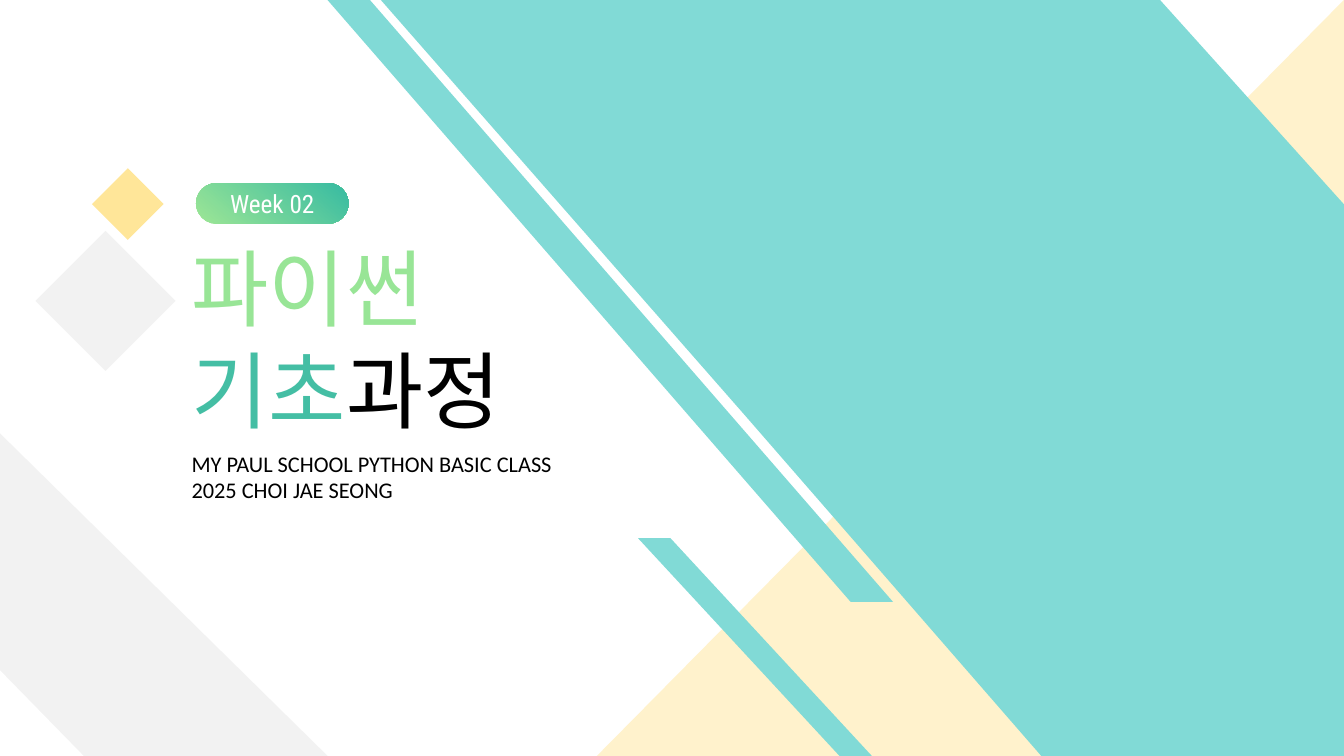
from dataclasses import dataclass

import pptx
import pptx.dml.color
import pptx.enum.dml
import pptx.enum.shapes
import pptx.enum.text
import pptx.oxml
import pptx.oxml.ns
import pptx.util

Pt = pptx.util.Pt
Preset = pptx.enum.shapes.MSO_SHAPE
Align = pptx.enum.text.PP_ALIGN
Anchor = pptx.enum.text.MSO_ANCHOR

COLORS = {
    "white": "FFFFFF",
    "black": "000000",
    "cream": "FFF2CC",
    "yellow": "FFE699",
    "aqua": "81DAD6",
    "grey": "F2F2F2",
    "lime": "98E596",
    "teal": "44BEA4",
    "badge start": "9DE695",
    "badge end": "37BBA2",
}
WIDTH, HEIGHT = 960, 540


@dataclass(frozen=True)
class Box:
    left: float
    top: float
    width: float
    height: float


@dataclass(frozen=True)
class Decoration:
    preset: Preset
    box: Box
    color: str
    flipped: bool = False
    adjustment: float | None = None


@dataclass(frozen=True)
class TextRun:
    text: str
    color: str


@dataclass(frozen=True)
class TextStyle:
    font: str
    size: float
    alignment: Align = Align.LEFT
    line_height: float | None = None


BAND_SLANT = 0.925
BACK_TRIANGLE = Decoration(Preset.RIGHT_TRIANGLE, Box(426.4, 0, 533.6, HEIGHT), "cream", flipped=True)
FRONT_DECORATIONS = [
    Decoration(Preset.PARALLELOGRAM, Box(234, 0, 404, 430), "aqua", True, BAND_SLANT),
    Decoration(Preset.PARALLELOGRAM, Box(455.8, 384.5, 167, 155.5), "aqua", True, BAND_SLANT),
    Decoration(Preset.RIGHT_TRIANGLE, Box(0, 309.6, 234, 230.4), "grey"),
    Decoration(Preset.RIGHT_TRIANGLE, Box(0, 478.8, 59.8, 61.2), "white"),
    Decoration(Preset.DIAMOND, Box(25.4, 165, 100, 100), "grey"),
    Decoration(Preset.DIAMOND, Box(65.7, 120.2, 51.2, 51.2), "yellow"),
]
PANEL_OUTLINE = [(272, 0), (828.6, 0), (WIDTH, 146), (WIDTH, HEIGHT), (743.8, HEIGHT), (532, 296.6)]

TITLE_BOX = Box(129.6, 165, 518.4, 152.6)
SUBTITLE_BOX = Box(129.6, 317.6, 518.4, 46)
BADGE_BOX = Box(140, 130.8, 109, 29)

TITLE_STYLE = TextStyle("Noto Sans CJK KR", 60, line_height=72.5)
SUBTITLE_STYLE = TextStyle("Calibri", 16)
BADGE_STYLE = TextStyle("Roboto Condensed", 18, Align.CENTER)

TITLE = [
    [TextRun("파이썬", "lime")],
    [TextRun("기초", "teal"), TextRun("과정", "black")],
]
SUBTITLE = [
    [TextRun("MY PAUL SCHOOL PYTHON BASIC CLASS", "black")],
    [TextRun("2025 CHOI JAE SEONG", "black")],
]
BADGE = [[TextRun("Week 02", "white")]]


def rgb(name: str) -> pptx.dml.color.RGBColor:
    return pptx.dml.color.RGBColor.from_string(COLORS[name])


def paint(shape, color: str) -> None:
    shape.shadow.inherit = False
    shape.fill.solid()
    shape.fill.fore_color.rgb = rgb(color)
    shape.line.fill.background()


def add_preset(slide, preset: Preset, box: Box):
    return slide.shapes.add_shape(preset, Pt(box.left), Pt(box.top), Pt(box.width), Pt(box.height))


def add_decoration(slide, decoration: Decoration) -> None:
    shape = add_preset(slide, decoration.preset, decoration.box)
    paint(shape, decoration.color)
    if decoration.adjustment is not None:
        shape.adjustments[0] = decoration.adjustment
    if decoration.flipped:
        shape._element.spPr.xfrm.set("flipH", "1")


def add_panel(slide) -> None:
    points = [(Pt(x), Pt(y)) for x, y in PANEL_OUTLINE]
    builder = slide.shapes.build_freeform(*points[0])
    builder.add_line_segments(points[1:], close=True)
    paint(builder.convert_to_shape(), "aqua")


def write_text(shape, lines: list[list[TextRun]], style: TextStyle, anchor: Anchor) -> None:
    frame = shape.text_frame
    frame.word_wrap = True
    frame.auto_size = pptx.enum.text.MSO_AUTO_SIZE.NONE
    frame.vertical_anchor = anchor
    for index, line in enumerate(lines):
        paragraph = frame.add_paragraph() if index else frame.paragraphs[0]
        paragraph.alignment = style.alignment
        paragraph.space_before = Pt(0)
        if style.line_height is not None:
            paragraph.line_spacing = Pt(style.line_height)
        for text_run in line:
            run = paragraph.add_run()
            run.text = text_run.text
            run.font.size = Pt(style.size)
            run.font.name = style.font
            run.font.color.rgb = rgb(text_run.color)
            east_asian = pptx.oxml.parse_xml(f'<a:ea {pptx.oxml.ns.nsdecls("a")} typeface="{style.font}"/>')
            run.font._element.find(pptx.oxml.ns.qn("a:latin")).addnext(east_asian)


def fill_placeholder(slide, index: int, box: Box, lines: list[list[TextRun]], style: TextStyle) -> None:
    """Place a layout placeholder in front of the decorations and write its text."""
    shape = slide.placeholders[index]
    shape.left, shape.top = Pt(box.left), Pt(box.top)
    shape.width, shape.height = Pt(box.width), Pt(box.height)
    slide.shapes._spTree.append(shape._element)
    write_text(shape, lines, style, Anchor.TOP)


def add_badge(slide) -> None:
    badge = add_preset(slide, Preset.ROUNDED_RECTANGLE, BADGE_BOX)
    badge.adjustments[0] = 0.5
    paint(badge, "badge start")
    badge.fill.gradient()
    badge.fill.gradient_angle = 50
    for stop, color in zip(badge.fill.gradient_stops, ("badge start", "badge end")):
        stop.color.rgb = rgb(color)
    write_text(badge, BADGE, BADGE_STYLE, Anchor.MIDDLE)


def main() -> None:
    presentation = pptx.Presentation()
    presentation.slide_width, presentation.slide_height = Pt(WIDTH), Pt(HEIGHT)
    slide = presentation.slides.add_slide(presentation.slide_layouts[0])
    slide.background.fill.solid()
    slide.background.fill.fore_color.rgb = rgb("white")
    add_decoration(slide, BACK_TRIANGLE)
    add_panel(slide)
    for decoration in FRONT_DECORATIONS:
        add_decoration(slide, decoration)
    fill_placeholder(slide, 1, SUBTITLE_BOX, SUBTITLE, SUBTITLE_STYLE)
    fill_placeholder(slide, 0, TITLE_BOX, TITLE, TITLE_STYLE)
    add_badge(slide)
    presentation.save("out.pptx")


if __name__ == "__main__":
    main()
